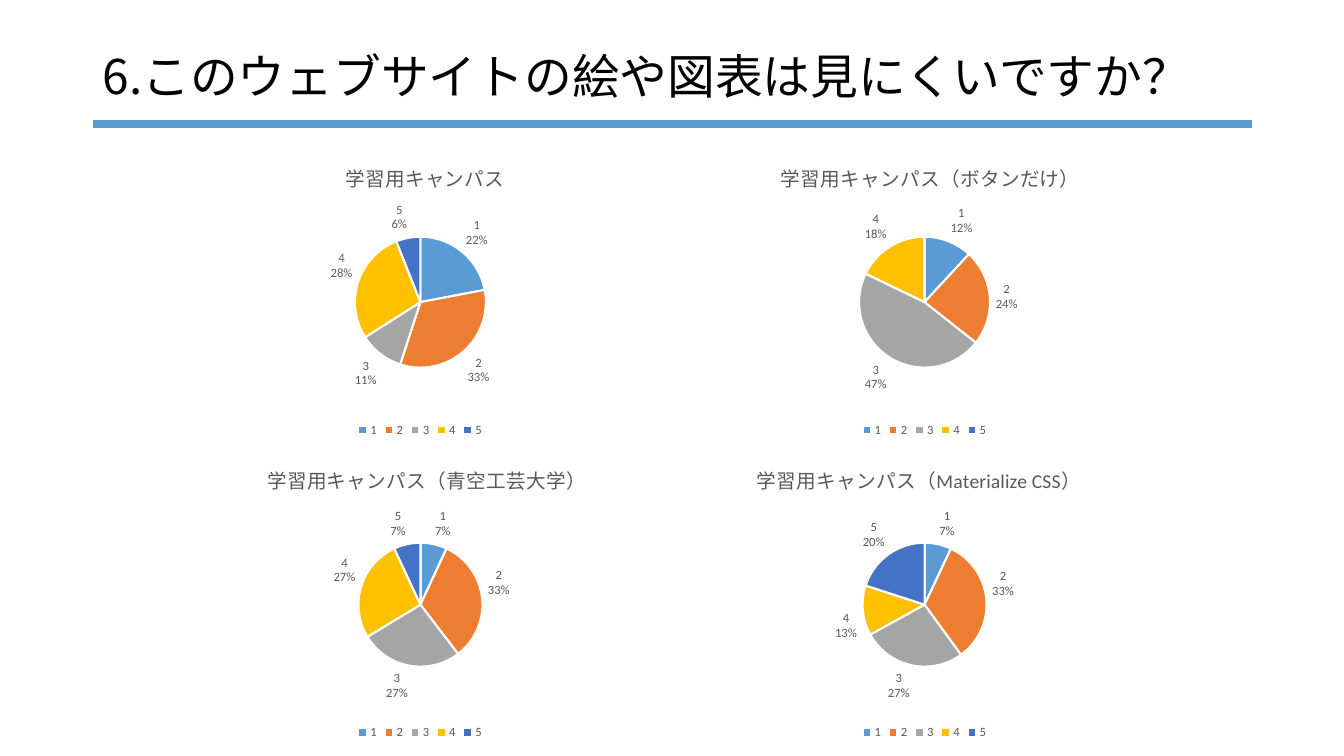
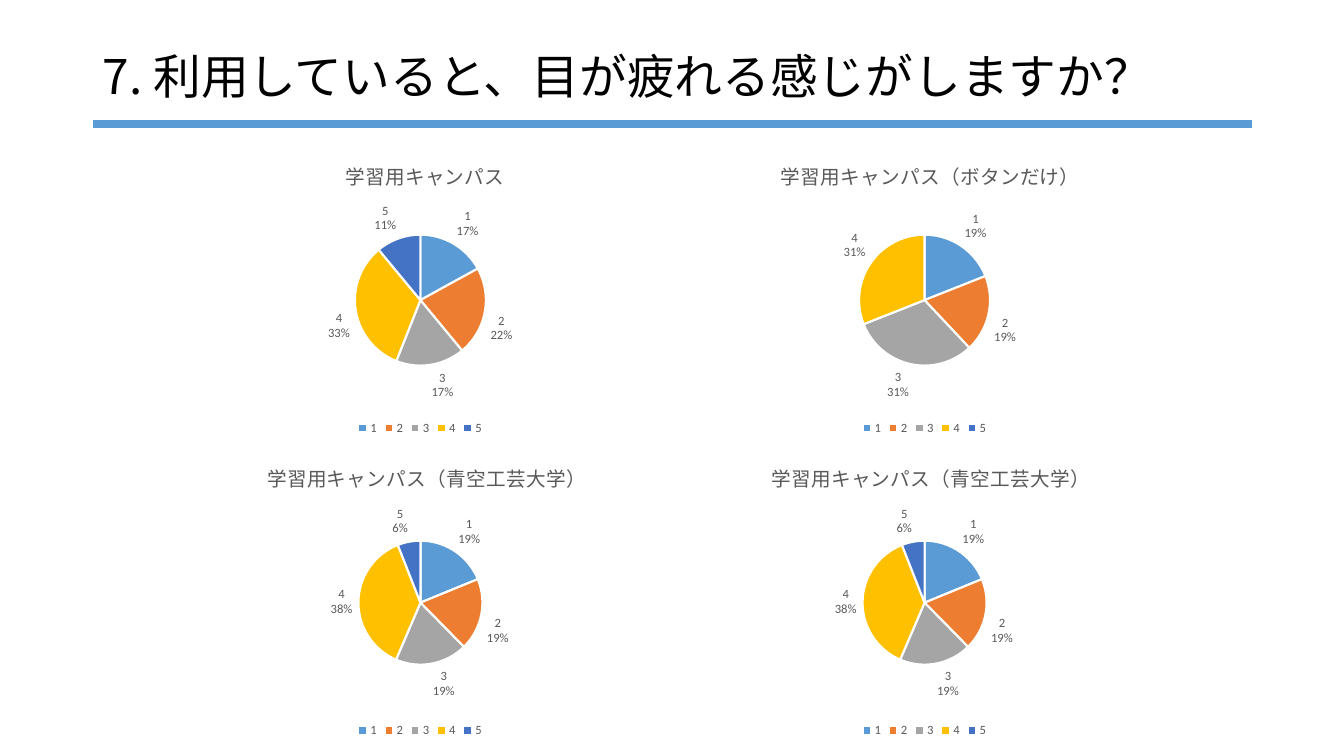
import lxml.etree
import pptx
import pptx.chart.data
import pptx.dml.color
import pptx.enum.chart
import pptx.enum.shapes
import pptx.enum.text
import pptx.oxml
import pptx.oxml.ns
import pptx.util

Inches = pptx.util.Inches
Pt = pptx.util.Pt
qn = pptx.oxml.ns.qn

COLORS = {"rule": "5B9BD5", "title": "000000", "chart_text": "595959", "gap": "FFFFFF"}
SLICE_COLORS = {"1": "5B9BD5", "2": "ED7D31", "3": "A5A5A5", "4": "FFC000", "5": "4472C4"}
LATIN, CJK = "Calibri", "Noto Sans CJK JP"
SLIDE_W, SLIDE_H = 13.33, 7.5
HEADER = (0.92, 0.4, 11.5, 0.83)
GRID_LEFT, CELL_W, CELL_H, COLUMNS = 1.67, 5, 3, 2
CHART_TITLE_PT = 14

SITE = "学習用キャンパス"
SITE_VARIANTS = [SITE, SITE + "（ボタンだけ）", SITE + "（青空工芸大学）"]
QUESTIONS = [
    ("6.このウェブサイトの絵や図表は見にくいですか？", 1.38, [
        (SITE_VARIANTS[0], (22, 33, 11, 28, 6)),
        (SITE_VARIANTS[1], (12, 24, 47, 18, 0)),
        (SITE_VARIANTS[2], (7, 33, 27, 27, 7)),
        (SITE + "（Materialize CSS）", (7, 33, 27, 13, 20)),
    ]),
    ("7. 利用していると、目が疲れる感じがしますか？", 1.36, [
        (SITE_VARIANTS[0], (17, 22, 17, 33, 11)),
        (SITE_VARIANTS[1], (19, 19, 31, 31, 0)),
        (SITE_VARIANTS[2], (19, 19, 19, 38, 6)),
        (SITE_VARIANTS[2], (19, 19, 19, 38, 6)),
    ]),
]


def rgb(name):
    return pptx.dml.color.RGBColor.from_string(name)


def style_font(font, size):
    font.size = Pt(size)
    font.name = LATIN
    font.bold = False
    font.color.rgb = rgb(COLORS["chart_text"])


def child(parent, tag, **attributes):
    element = lxml.etree.SubElement(parent, qn(tag))
    for key, value in attributes.items():
        element.set(key, str(value))
    return element


def style_headings(prs, layout):
    level = prs.slide_master.element.find(".//" + qn("p:titleStyle")).find(qn("a:lvl1pPr"))
    for old in list(level):
        level.remove(old)
    level.set("algn", "l")
    child(child(level, "a:lnSpc"), "a:spcPct", val=70000)
    child(level, "a:buNone")
    font = child(level, "a:defRPr", sz=3410)
    child(child(font, "a:solidFill"), "a:srgbClr", val=COLORS["title"])
    for script in ("a:latin", "a:ea"):
        child(font, script, typeface=CJK)
    heading = layout.placeholders[0]
    heading.left, heading.top, heading.width, heading.height = map(Inches, HEADER)
    heading.text_frame.vertical_anchor = pptx.enum.text.MSO_ANCHOR.MIDDLE
    heading.text_frame.auto_size = pptx.enum.text.MSO_AUTO_SIZE.NONE


def add_header(slide, question):
    slide.shapes.title.text_frame.text = question
    left, top, width, height = HEADER
    rule = slide.shapes.add_connector(
        pptx.enum.shapes.MSO_CONNECTOR.STRAIGHT,
        Inches(left), Inches(top + height), Inches(left + width), Inches(top + height))
    rule.line.color.rgb = rgb(COLORS["rule"])
    rule.line.width = Pt(6)
    child(rule._element.spPr, "a:effectLst")


def manual_layout(x, y, width=None, height=None):
    layout = lxml.etree.Element(qn("c:layout"))
    manual = child(layout, "c:manualLayout")
    if width:
        child(manual, "c:layoutTarget", val="inner")
    child(manual, "c:xMode", val="edge")
    child(manual, "c:yMode", val="edge")
    for tag, value in (("c:x", x), ("c:y", y), ("c:w", width), ("c:h", height)):
        if value is not None:
            child(manual, tag, val=round(value, 3))
    return layout


def replace_layout(parent, layout, after=None):
    old = parent.find(qn("c:layout"))
    if old is not None:
        parent.remove(old)
    if after is None:
        parent.insert(0, layout)
    else:
        after.addnext(layout)


def title_chart(chart, site):
    chart.has_title = True
    frame = chart.chart_title.text_frame
    frame.text = site
    style_font(frame.paragraphs[0].runs[0].font, CHART_TITLE_PT)
    chart.chart_title.include_in_layout = False
    ems = sum(0.5 if ord(letter) < 128 else 1 for letter in site)
    share = ems * CHART_TITLE_PT / 72 / CELL_W
    title = chart.chart_title._element
    replace_layout(title, manual_layout(0.5 - share / 2, 0.06), title.find(qn("c:tx")))


def label_slices(series, answers):
    labels = series.data_labels
    labels.show_value = False
    labels.show_category_name = True
    labels.show_percentage = True
    labels.number_format = "0%"
    labels.number_format_is_linked = False
    labels.position = pptx.enum.chart.XL_LABEL_POSITION.OUTSIDE_END
    style_font(labels.font, 9)
    element = labels._element
    separator = lxml.etree.Element(qn("c:separator"))
    separator.text = "\n"
    shown = [e for e in element if e.tag in (qn("c:showPercent"), qn("c:showBubbleSize"))]
    shown[-1].addnext(separator)
    for place, index in enumerate(i for i, answer in enumerate(answers) if not answer):
        hidden = lxml.etree.Element(qn("c:dLbl"))
        child(hidden, "c:idx", val=index)
        child(hidden, "c:delete", val=1)
        element.insert(place, hidden)


def add_answer_pie(slide, box, site, answers, diameter):
    data = pptx.chart.data.CategoryChartData()
    data.categories = list(SLICE_COLORS)
    data.add_series("Series 1", answers)
    chart = slide.shapes.add_chart(
        pptx.enum.chart.XL_CHART_TYPE.PIE, *map(Inches, box), data).chart
    style_font(chart.font, 10)
    title_chart(chart, site)
    chart.has_legend = True
    chart.legend.position = pptx.enum.chart.XL_LEGEND_POSITION.BOTTOM
    chart.legend.include_in_layout = False
    style_font(chart.legend.font, 9)
    plot = chart.plots[0]
    plot.vary_by_categories = True
    series = plot.series[0]
    for index, color in enumerate(SLICE_COLORS.values()):
        piece = series.points[index].format
        piece.fill.solid()
        piece.fill.fore_color.rgb = rgb(color)
        piece.line.color.rgb = rgb(COLORS["gap"])
        piece.line.width = Pt(1.5)
    label_slices(series, answers)
    width, height = diameter / box[2], diameter / box[3]
    replace_layout(chart._chartSpace.find(".//" + qn("c:plotArea")),
                   manual_layout(0.5 - width / 2, 0.54 - height / 2, width, height))


def add_question_slide(prs, layout, question, grid_top, results):
    slide = prs.slides.add_slide(layout)
    add_header(slide, question)
    for index, (site, answers) in enumerate(results):
        row, column = divmod(index, COLUMNS)
        box = (GRID_LEFT + column * CELL_W, grid_top + row * CELL_H, CELL_W, CELL_H)
        add_answer_pie(slide, box, site, answers, 1.3 - 0.07 * row)


def main():
    prs = pptx.Presentation()
    prs.slide_width, prs.slide_height = Inches(SLIDE_W), Inches(SLIDE_H)
    layout = prs.slide_layouts[5]
    style_headings(prs, layout)
    for question, grid_top, results in QUESTIONS:
        add_question_slide(prs, layout, question, grid_top, results)
    prs.save("out.pptx")


if __name__ == "__main__":
    main()
